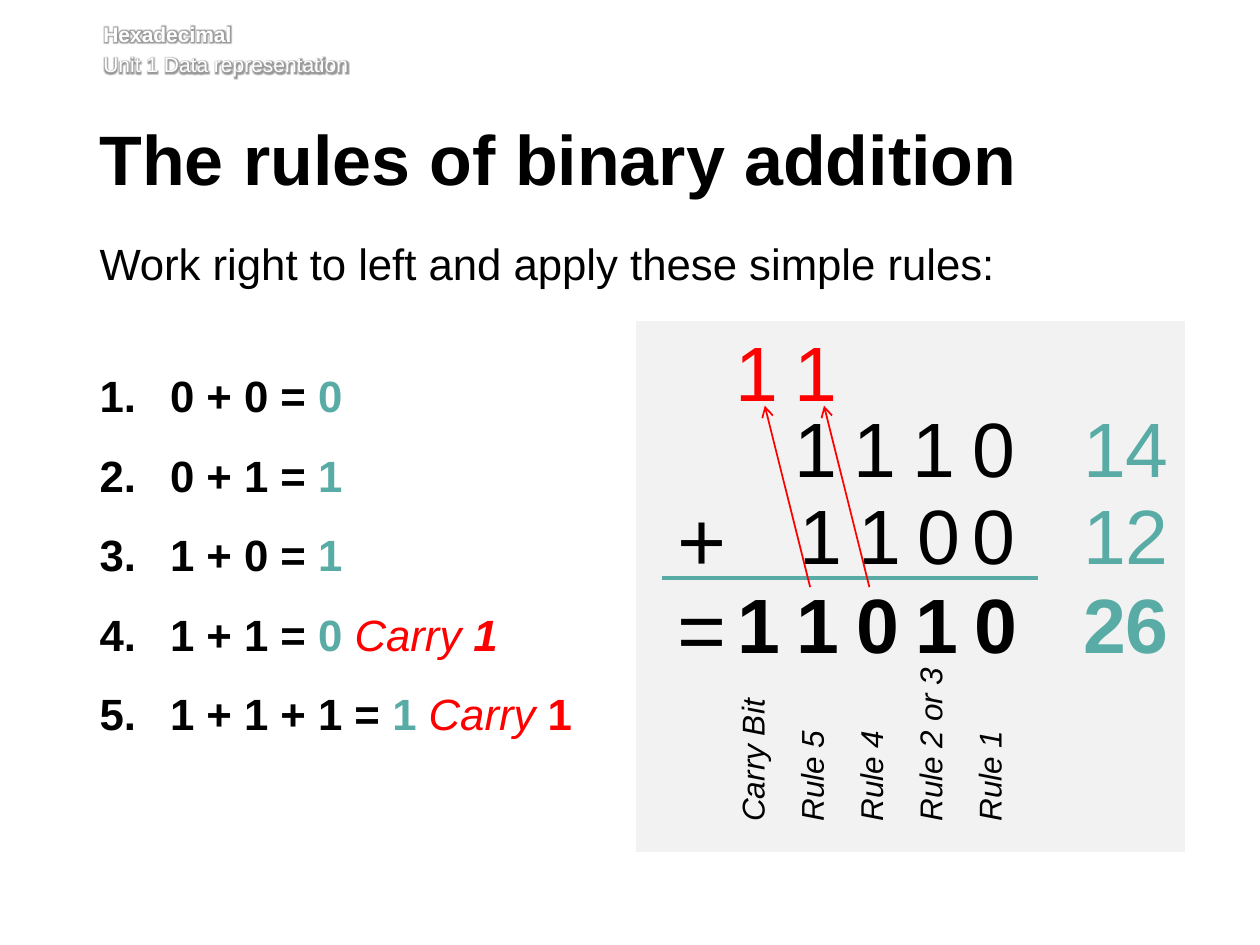
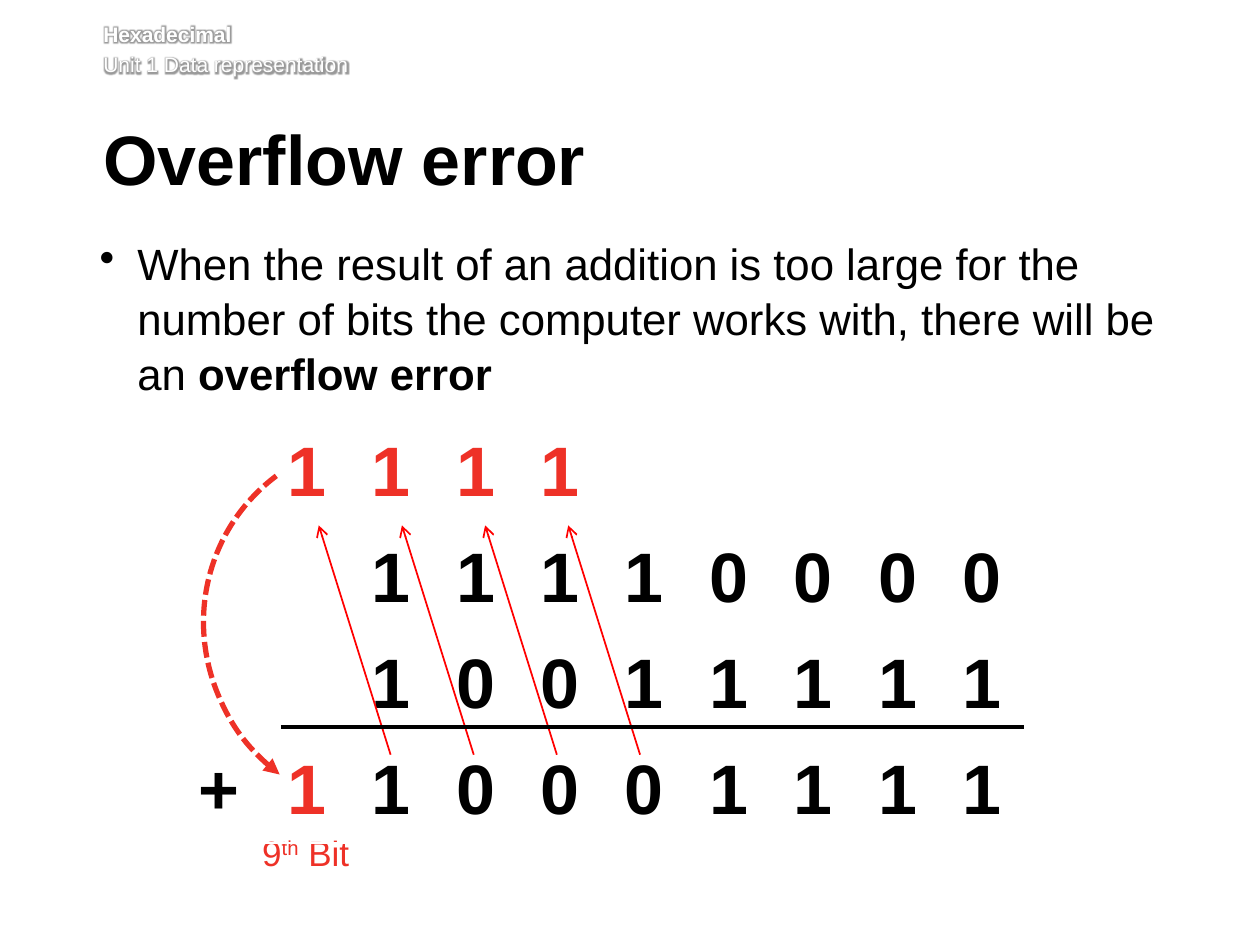
from dataclasses import dataclass

from lxml.etree import SubElement
from pptx import Presentation
from pptx.dml.color import RGBColor
from pptx.enum.dml import MSO_LINE
from pptx.enum.shapes import MSO_CONNECTOR, MSO_SHAPE
from pptx.enum.text import MSO_ANCHOR, MSO_AUTO_SIZE, PP_ALIGN
from pptx.oxml import parse_xml
from pptx.oxml.ns import nsdecls, qn
from pptx.util import Inches, Pt


@dataclass(frozen=True)
class Theme:
    font: str = "Arial"
    black: str = "000000"
    white: str = "FFFFFF"
    teal: str = "58ACA5"
    red: str = "FF0000"
    coral: str = "EE3127"
    panel: str = "F2F2F2"
    head: int = 12
    label: int = 18
    note: int = 20
    body: int = 25
    title: int = 40
    digit: int = 44
    sign: int = 48


T = Theme()
GLOW = (f'<a:effectLst {nsdecls("a")}><a:glow rad="63500"><a:prstClr val="black">'
        '<a:alpha val="40000"/></a:prstClr></a:glow></a:effectLst>')


def write(home, *paras, at=None, inset=(.1, .05, .1, .05), wrap=False, turn=None,
          align=None, indent=0, mark=None, lead=None, before=0, after=0, **base):
    """Add paragraphs, each a string or a list of (text, format) runs.

    With at, home is a slide that gets a new text box; otherwise it is a text frame.
    """
    frame = home
    if at:
        box = home.shapes.add_textbox(*map(Inches, at))
        frame = box.text_frame
        frame.word_wrap = wrap
        frame.auto_size = MSO_AUTO_SIZE.NONE if wrap else MSO_AUTO_SIZE.SHAPE_TO_FIT_TEXT
        frame.margin_left, frame.margin_top, frame.margin_right, frame.margin_bottom = map(Inches, inset)
        if turn:
            box.element.txBody.bodyPr.set("vert", turn)
    for runs in paras:
        first = not frame.paragraphs[0].runs
        para = frame.paragraphs[0] if first else frame.add_paragraph()
        para.alignment = align
        para.line_spacing = lead
        para.space_before = Pt(0 if first else before)
        para.space_after = Pt(after)
        if mark:
            props = para._p.get_or_add_pPr()
            props.set("marL", str(Inches(indent)))
            props.set("indent", str(-Inches(indent)))
            if mark == "1.":
                SubElement(props, qn("a:buAutoNum"), type="arabicPeriod")
            else:
                SubElement(props, qn("a:buChar"), char=mark)
        for text, extra in [(runs, {})] if isinstance(runs, str) else runs:
            look = {"color": T.black, "bold": False, "italic": False, **base, **extra}
            run = para.add_run()
            run.text = text
            run.font.name, run.font.size = T.font, Pt(look["size"])
            run.font.bold, run.font.italic = look["bold"], look["italic"]
            run.font.color.rgb = RGBColor.from_string(look["color"])
            props = run._r.get_or_add_rPr()
            if look.get("raised"):
                props.set("baseline", "30000")
            if look.get("glow"):
                props.insert(1, parse_xml(GLOW))
    return frame


def link(slide, start, end, color, width, arrow=False):
    """Draw a straight line, with an arrowhead at its end if asked."""
    line = slide.shapes.add_connector(MSO_CONNECTOR.STRAIGHT, *map(Inches, start + end))
    line.line.color.rgb = RGBColor.from_string(color)
    line.line.width = Pt(width)
    if arrow:
        SubElement(line.line._get_or_add_ln(), qn("a:tailEnd"), type="arrow")
    SubElement(line.element.spPr, qn("a:effectLst"))


deck = Presentation()
deck.slide_width, deck.slide_height = Inches(10), Inches(7.5)

# Shared header and title
slides = []
for title, left in (("The rules of binary addition", .79), ("Overflow error", .82)):
    slide = deck.slides.add_slide(deck.slide_layouts[6])
    write(slide, [("Hexadecimal", {"bold": True})], "Unit 1 Data representation",
          at=(.82, .17, 8.82, .49), inset=(0, 0, 0, .05), wrap=True,
          before=2.9, size=T.head, color=T.white, glow=True)
    write(slide, title, at=(left, .99, 8.55, .73), inset=(0, .05, .1, .05), wrap=True,
          lead=Pt(39), after=15, size=T.title, bold=True)
    slides.append(slide)
rules, over = slides
BODY = dict(at=(.79, 1.86, 8.53, 3.78), inset=(0, 0, .1, .05), wrap=True,
            lead=1.05, size=T.body)

# Slide 1: the rules
frame = write(rules, "Work right to left and apply these simple rules:", after=44, **BODY)
teal = {"color": T.teal}
carry = {"color": T.red, "bold": False, "italic": True}
write(frame,
      [("0 + 0 = ", {}), ("0", teal)],
      [("0 + 1 = ", {}), ("1", teal)],
      [("1 + 0 = ", {}), ("1", teal)],
      [("1 + 1 = ", {}), ("0 ", teal), ("Carry ", carry), ("1", {**carry, "bold": True})],
      [("1 + 1 + 1 = ", {}), ("1 ", teal), ("Carry", carry), (" 1", {"color": T.red})],
      mark="1.", indent=.56, lead=1.05, after=14, size=T.body, bold=True)

# Slide 1: the worked sum, on a grid of digit columns and rows
panel = rules.shapes.add_shape(MSO_SHAPE.RECTANGLE, *map(Inches, (5.03, 2.53, 4.39, 4.25)))
panel.shadow.inherit = False
panel.fill.solid()
panel.fill.fore_color.rgb = RGBColor.from_string(T.panel)
panel.line.color.rgb = RGBColor.from_string(T.white)
panel.line.width = Pt(2)

LEFT, STEP = 5.75, .47
ROWS = 2.53, 3.13, 3.82, 4.53
digits = (  # row, first column, nudge, digits, colour
    (0, 0, -.02, "11", T.red),
    (1, 1, -.02, "1110", T.black),
    (2, 1, .02, "110", T.black),
    (2, 4, -.02, "0", T.black),
    (3, 0, 0, "11010", T.black),
)
for row, first, nudge, bits, color in digits:
    for col, bit in enumerate(bits, first):
        write(rules, bit, at=(LEFT + col * STEP + nudge, ROWS[row], .55, .84),
              align=PP_ALIGN.CENTER, size=T.digit, color=color, bold=row == 3)
for row, sign in ((2, "+"), (3, "=")):
    write(rules, sign, at=(LEFT - STEP, ROWS[row], .59, .91),
          align=PP_ALIGN.CENTER, size=T.sign)
for row, total in enumerate(("14", "12", "26"), 1):
    write(rules, total, at=(8.49, ROWS[row], .89, .84), align=PP_ALIGN.CENTER,
          size=T.digit, color=T.teal, bold=row == 3)
link(rules, (5.25, 4.59), (8.24, 4.59), T.teal, 2.25)

labels = (("Carry Bit", 1.08), ("Rule 5", .83), ("Rule 4", .83),
          ("Rule 2 or 3", 1.34), ("Rule 1", .83))
for col, (label, tall) in enumerate(labels):
    write(rules, label, at=(LEFT + .02 + col * STEP, 6.62 - tall, .5, tall),
          turn="vert270", size=T.label, italic=True)
for col in (1, 2):
    foot = LEFT + .21 + col * STEP
    link(rules, (foot, 4.66), (foot - .36, 3.22), T.red, 1, arrow=True)

# Slide 2: the definition
write(over, [("When the result of an addition is too large for the number of bits "
              "the computer works with, there will be an ", {}),
             ("overflow error", {"bold": True})], mark="•", indent=.3, after=14, **BODY)
write(over, [("9", {}), ("th", {"raised": True}), (" Bit", {})],
      at=(1.92, 6.55, .95, .44), wrap=True, align=PP_ALIGN.RIGHT,
      size=T.note, color=T.coral)

# Slide 2: the sum; a dot is an empty cell
lines = (".1111.....", "..11110000", "..10011111", "+110001111")
table = over.shapes.add_table(4, 10, *map(Inches, (1.37, 3.33, 6.76, 3.36))).table
table.first_row = table.horz_banding = False
for col, column in enumerate(table.columns):
    column.width = Inches(.67 if col else .73)
for row, bits in enumerate(lines):
    table.rows[row].height = Inches(.84)
    for col, bit in enumerate(bits):
        cell = table.cell(row, col)
        cell.fill.background()
        cell.vertical_anchor = MSO_ANCHOR.MIDDLE
        cell.margin_left = cell.margin_right = Inches(.17)
        cell.margin_top = cell.margin_bottom = Inches(.09)
        if bit != ".":
            carried = row == 0 or (row, col) == (3, 1)
            write(cell.text_frame, bit, align=PP_ALIGN.CENTER, size=T.title,
                  bold=True, color=T.coral if carried else T.black)

for col in range(4):
    foot = 3.1 + col * .66
    link(over, (foot, 5.99), (foot - .57, 4.17), T.red, 1, arrow=True)

arc = over.shapes.add_shape(MSO_SHAPE.ARC, *map(Inches, (1.6, 3.5, 3.03, 2.95)))
arc.adjustments[0], arc.adjustments[1] = 162, 9.56
arc.rotation = 217.4
arc.shadow.inherit = False
arc.fill.background()
arc.line.color.rgb = RGBColor.from_string(T.coral)
arc.line.width = Pt(3)
arc.line.dash_style = MSO_LINE.SQUARE_DOT
SubElement(arc.line._get_or_add_ln(), qn("a:headEnd"), type="triangle")
link(over, (2.23, 5.77), (8.13, 5.77), T.black, 2.25)

deck.save("out.pptx")
